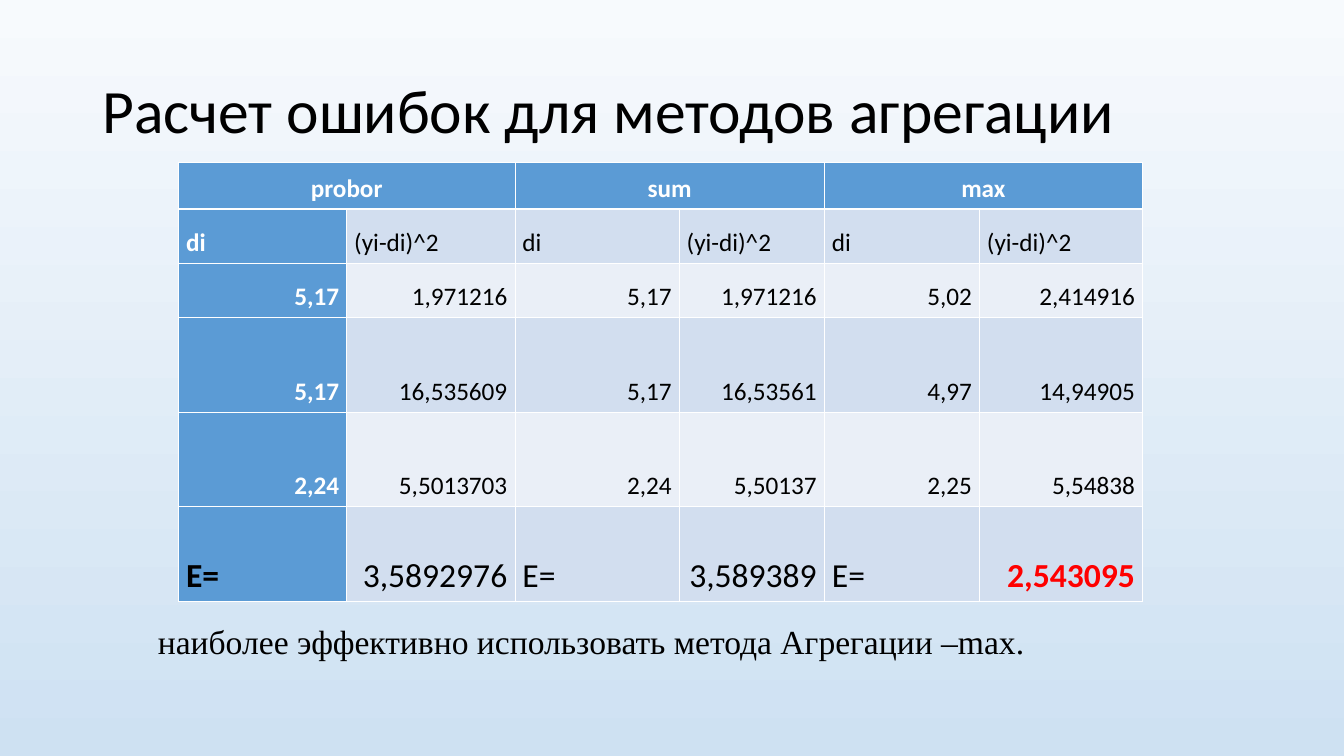
from dataclasses import dataclass

from lxml.etree import SubElement
from pptx import Presentation
from pptx.dml.color import RGBColor
from pptx.enum.text import MSO_ANCHOR, MSO_AUTO_SIZE, PP_ALIGN
from pptx.oxml.ns import qn
from pptx.util import Cm, Pt

BLACK = RGBColor(0x00, 0x00, 0x00)
WHITE = RGBColor(0xFF, 0xFF, 0xFF)
RED = RGBColor(0xFF, 0x00, 0x00)
HEADER_BLUE = RGBColor(0x5B, 0x9B, 0xD5)
DARK_BAND = RGBColor(0xD2, 0xDE, 0xEF)
LIGHT_BAND = RGBColor(0xEA, 0xEF, 0xF7)
SKY_TOP = RGBColor(0xF7, 0xFA, 0xFD)
SKY_BOTTOM = RGBColor(0xCE, 0xE1, 0xF2)

COLUMN_WIDTHS = [4.24, 4.24, 4.14, 3.66, 3.91, 4.11]
ROW_HEIGHTS = [1.17, 1.37, 1.35, 2.39, 2.39, 2.39]
THIN, THICK = 0.45, 1.47
METHODS = ["probor", "sum", "max"]
ROWS = [
    [text for method in METHODS for text in (method, "")],
    ["di", "(yi-di)^2"] * len(METHODS),
    ["5,17", "1,971216", "5,17", "1,971216", "5,02", "2,414916"],
    ["5,17", "16,535609", "5,17", "16,53561", "4,97", "14,94905"],
    ["2,24", "5,5013703", "2,24", "5,50137", "2,25", "5,54838"],
    ["E=", "3,5892976", "E=", "3,589389", "E=", "2,543095"],
]
LAST_ROW, LAST_COLUMN = len(ROWS) - 1, len(COLUMN_WIDTHS) - 1


@dataclass
class TextStyle:
    size: float
    color: RGBColor = BLACK
    bold: bool = False
    font: str = "Calibri"
    align: PP_ALIGN = PP_ALIGN.LEFT
    spacing: float = 1.15


def write_text(frame, text: str, style: TextStyle) -> None:
    frame.text = text
    para = frame.paragraphs[0]
    para.alignment = style.align
    para.line_spacing = style.spacing
    for span in para.runs:
        span.font.name = style.font
        span.font.size = Pt(style.size)
        span.font.bold = style.bold
        span.font.color.rgb = style.color


def add_borders(cell, row: int) -> None:
    """Draw white cell borders, thicker between the method names and the rest."""
    widths = {
        "lnL": THIN,
        "lnR": THIN,
        "lnT": THICK if row == 1 else THIN,
        "lnB": THICK if row == 0 else THIN,
    }
    properties = cell._tc.get_or_add_tcPr()
    for side, width in widths.items():
        line = SubElement(properties, qn(f"a:{side}"), w=str(int(Pt(width))))
        fill = SubElement(line, qn("a:solidFill"))
        SubElement(fill, qn("a:srgbClr"), val=str(WHITE))


def cell_style(row: int, column: int) -> TextStyle:
    is_header = row == 0 or column == 0
    style = TextStyle(18, WHITE if is_header else BLACK, is_header)
    if row == 0:
        style.align = PP_ALIGN.CENTER
    elif 1 < row < LAST_ROW or (row == LAST_ROW and column % 2):
        style.align = PP_ALIGN.RIGHT
    if row == LAST_ROW:
        style.size, style.color = 24, BLACK
        if column == LAST_COLUMN:
            style.color, style.bold = RED, True
    return style


def cell_fill(row: int, column: int) -> RGBColor:
    if row == 0 or column == 0:
        return HEADER_BLUE
    return DARK_BAND if row % 2 else LIGHT_BAND


def add_error_table(slide) -> None:
    table = slide.shapes.add_table(
        len(ROWS), len(COLUMN_WIDTHS), Cm(4.5), Cm(4.1),
        Cm(sum(COLUMN_WIDTHS)), Cm(sum(ROW_HEIGHTS)),
    ).table
    for column, width in zip(table.columns, COLUMN_WIDTHS):
        column.width = Cm(width)
    for table_row, height in zip(table.rows, ROW_HEIGHTS):
        table_row.height = Cm(height)

    for row, texts in enumerate(ROWS):
        for column, text in enumerate(texts):
            cell = table.cell(row, column)
            add_borders(cell, row)
            cell.fill.solid()
            cell.fill.fore_color.rgb = cell_fill(row, column)
            cell.vertical_anchor = MSO_ANCHOR.BOTTOM
            cell.margin_left = cell.margin_right = Cm(0.19)
            cell.margin_top = cell.margin_bottom = Cm(0.13)
            write_text(cell.text_frame, text, cell_style(row, column))

    # Each method name spans its two columns
    for column in range(0, len(COLUMN_WIDTHS), 2):
        table.cell(0, column).merge(table.cell(0, column + 1))


def main() -> None:
    deck = Presentation()
    deck.slide_width, deck.slide_height = Cm(33.88), Cm(19.05)
    page = deck.slides.add_slide(deck.slide_layouts[5])

    # Background, light at the top
    background = page.background.fill
    background.gradient()
    background.gradient_angle = 270
    for stop, color, position in zip(
        background.gradient_stops, (SKY_TOP, SKY_BOTTOM), (0, 1)
    ):
        stop.color.rgb = color
        stop.position = position

    # Title
    title = page.shapes.title
    title.left, title.top = Cm(2.33), Cm(1.01)
    title.width, title.height = Cm(29.21), Cm(3.68)
    title.text_frame.vertical_anchor = MSO_ANCHOR.MIDDLE
    title.text_frame.auto_size = MSO_AUTO_SIZE.NONE
    write_text(title.text_frame, "Расчет ошибок для методов агрегации",
               TextStyle(44, spacing=0.9))

    # Errors of the three methods
    add_error_table(page)

    # Conclusion
    box = page.shapes.add_textbox(Cm(3.73), Cm(15.37), Cm(26.54), Cm(1.42))
    box.text_frame.word_wrap = True
    box.text_frame.auto_size = MSO_AUTO_SIZE.SHAPE_TO_FIT_TEXT
    write_text(box.text_frame,
               "наиболее эффективно использовать метода Агрегации –max.",
               TextStyle(24, font="Times New Roman", align=PP_ALIGN.JUSTIFY))

    deck.save("out.pptx")


if __name__ == "__main__":
    main()
